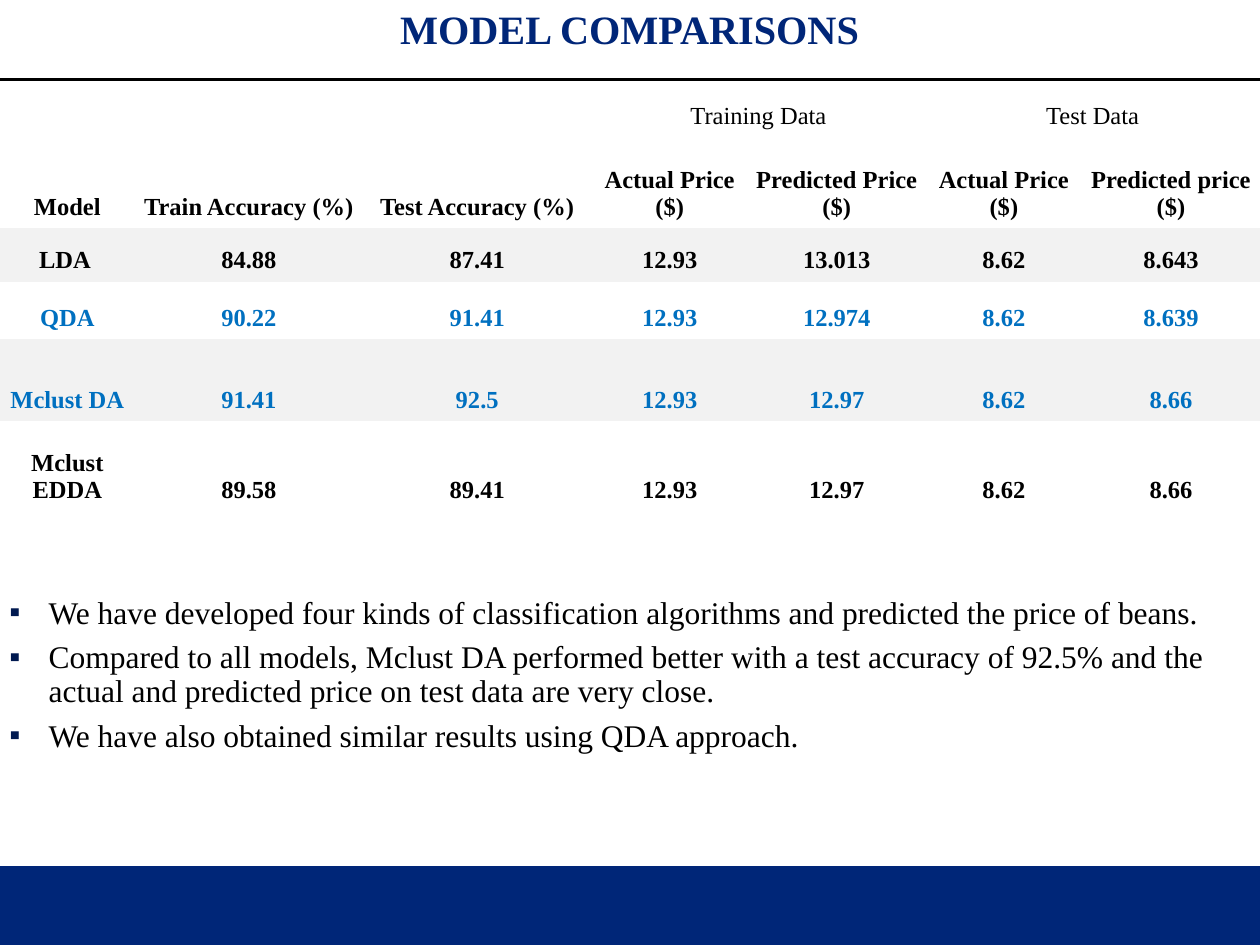
from lxml import etree
from pptx import Presentation
from pptx.dml.color import RGBColor
from pptx.enum.shapes import MSO_SHAPE
from pptx.enum.text import MSO_ANCHOR, MSO_AUTO_SIZE, PP_ALIGN
from pptx.oxml.ns import qn
from pptx.util import Pt

RECTANGLE = MSO_SHAPE.RECTANGLE
CENTER, LEFT = PP_ALIGN.CENTER, PP_ALIGN.LEFT
TOP, BOTTOM = MSO_ANCHOR.TOP, MSO_ANCHOR.BOTTOM
NO_AUTOSIZE = MSO_AUTO_SIZE.NONE

FONT = "Times New Roman"
COLORS = {"navy": "002678", "bullet": "001950", "black": "000000",
          "highlight": "0070C0", "band": "F2F2F2"}
PLAIN_TABLE_STYLE = "{2D5ABB26-0587-4C30-8999-92F81FD0307C}"

COLUMN_WIDTHS = [77, 130.5, 130.5, 89.5, 101.5, 89.5, 101.5]
ROW_HEIGHTS = [33.1, 51.8, 30.6, 33.1, 46.5, 51.8]
ROWS = [
    ["", "", "", "Training Data", "", "Test Data", ""],
    ["Model", "Train Accuracy (%)", "Test Accuracy (%)", "Actual Price ($)",
     "Predicted Price ($)", "Actual Price ($)", "Predicted price ($)"],
    ["LDA ", "84.88", "87.41", "12.93", "13.013", "8.62", "8.643"],
    ["QDA", "90.22", "91.41", "12.93", "12.974", "8.62", "8.639"],
    ["Mclust DA", "91.41", "92.5", "12.93", "12.97", "8.62", "8.66"],
    ["Mclust EDDA", "89.58", "89.41", "12.93", "12.97", "8.62", "8.66"],
]
GROUP_COLUMNS = [3, 5]
BANDED_ROWS = [2, 4]
HIGHLIGHTED_ROWS = [3, 4]
FINDINGS = [
    "We have developed four kinds of classification algorithms and predicted the price of beans.",
    "Compared to all models, Mclust DA performed better with a test accuracy of 92.5% "
    "and the actual and predicted price on test data are very close.",
    "We have also obtained similar results using QDA approach.",
]


def style_paragraph(paragraph, size, color, bold=False, alignment=CENTER):
    paragraph.alignment = alignment
    font = paragraph.font
    font.name, font.size, font.bold = FONT, Pt(size), bold
    font.color.rgb = RGBColor.from_string(COLORS[color])


def place(shape, left, top, width, height, anchor):
    shape.left, shape.top = Pt(left), Pt(top)
    shape.width, shape.height = Pt(width), Pt(height)
    frame = shape.text_frame
    frame.auto_size = NO_AUTOSIZE
    frame.word_wrap = True
    frame.vertical_anchor = anchor
    frame.margin_left = frame.margin_right = Pt(5.3)
    frame.margin_top = frame.margin_bottom = Pt(2.65)
    return frame


def add_footer_band(slide):
    band = slide.shapes.add_shape(RECTANGLE, Pt(0), Pt(495), Pt(720), Pt(45))
    band.shadow.inherit = False
    band.fill.solid()
    band.fill.fore_color.rgb = RGBColor.from_string(COLORS["navy"])
    band.line.fill.background()


def fill_title(slide):
    frame = place(slide.shapes.title, 0, 0, 720, 33, BOTTOM)
    frame.text = "MODEL COMPARISONS"
    paragraph = frame.paragraphs[0]
    style_paragraph(paragraph, 23, "navy", bold=True)
    paragraph.line_spacing = 0.9


def set_bullet(paragraph):
    properties = paragraph._p.get_or_add_pPr()
    properties.set("marL", str(Pt(22.5)))
    properties.set("indent", str(-Pt(22.5)))
    color = etree.Element(qn("a:buClr"))
    etree.SubElement(color, qn("a:srgbClr"), val=COLORS["bullet"])
    font = etree.Element(qn("a:buFont"), typeface=FONT)
    character = etree.Element(qn("a:buChar"), char="▪")
    default_run = properties.find(qn("a:defRPr"))
    for element in (color, font, character):
        default_run.addprevious(element)


def fill_findings(slide):
    frame = place(slide.placeholders[1], 0, 338.4, 720, 124.6, TOP)
    frame.text = "\n".join(FINDINGS)
    for paragraph in frame.paragraphs:
        style_paragraph(paragraph, 18, "black", alignment=LEFT)
        paragraph.line_spacing = 0.9
        paragraph.space_before = Pt(6)
        set_bullet(paragraph)


def add_top_border(cell):
    line = etree.Element(qn("a:lnT"), w=str(Pt(2.25)))
    fill = etree.SubElement(line, qn("a:solidFill"))
    etree.SubElement(fill, qn("a:srgbClr"), val=COLORS["black"])
    cell._tc.get_or_add_tcPr().insert(0, line)


def fill_cell(cell, text, row):
    cell.text = text
    cell.vertical_anchor = BOTTOM
    cell.margin_left = cell.margin_right = Pt(0.7)
    cell.margin_top = cell.margin_bottom = Pt(4.3)
    color = "highlight" if row in HIGHLIGHTED_ROWS else "black"
    style_paragraph(cell.text_frame.paragraphs[0], 14, color, bold=row > 0)
    if row in BANDED_ROWS:
        cell.fill.solid()
        cell.fill.fore_color.rgb = RGBColor.from_string(COLORS["band"])
    else:
        cell.fill.background()
    if row == 0:
        add_top_border(cell)


def add_comparison_table(slide):
    frame = slide.shapes.add_table(len(ROWS), len(COLUMN_WIDTHS), Pt(0), Pt(45.4),
                                   Pt(sum(COLUMN_WIDTHS)), Pt(sum(ROW_HEIGHTS)))
    table = frame.table
    table.first_row = table.horz_banding = False
    table._tbl.tblPr.find(qn("a:tableStyleId")).text = PLAIN_TABLE_STYLE
    for column, width in zip(table.columns, COLUMN_WIDTHS):
        column.width = Pt(width)
    for row, height in zip(table.rows, ROW_HEIGHTS):
        row.height = Pt(height)
    for row, texts in enumerate(ROWS):
        for column, text in enumerate(texts):
            fill_cell(table.cell(row, column), text, row)
    for column in GROUP_COLUMNS:
        table.cell(0, column).merge(table.cell(0, column + 1))


def main():
    presentation = Presentation()
    presentation.slide_width, presentation.slide_height = Pt(720), Pt(540)
    slide = presentation.slides.add_slide(presentation.slide_layouts[1])
    add_footer_band(slide)
    fill_title(slide)
    fill_findings(slide)
    add_comparison_table(slide)
    presentation.save("out.pptx")


if __name__ == "__main__":
    main()
